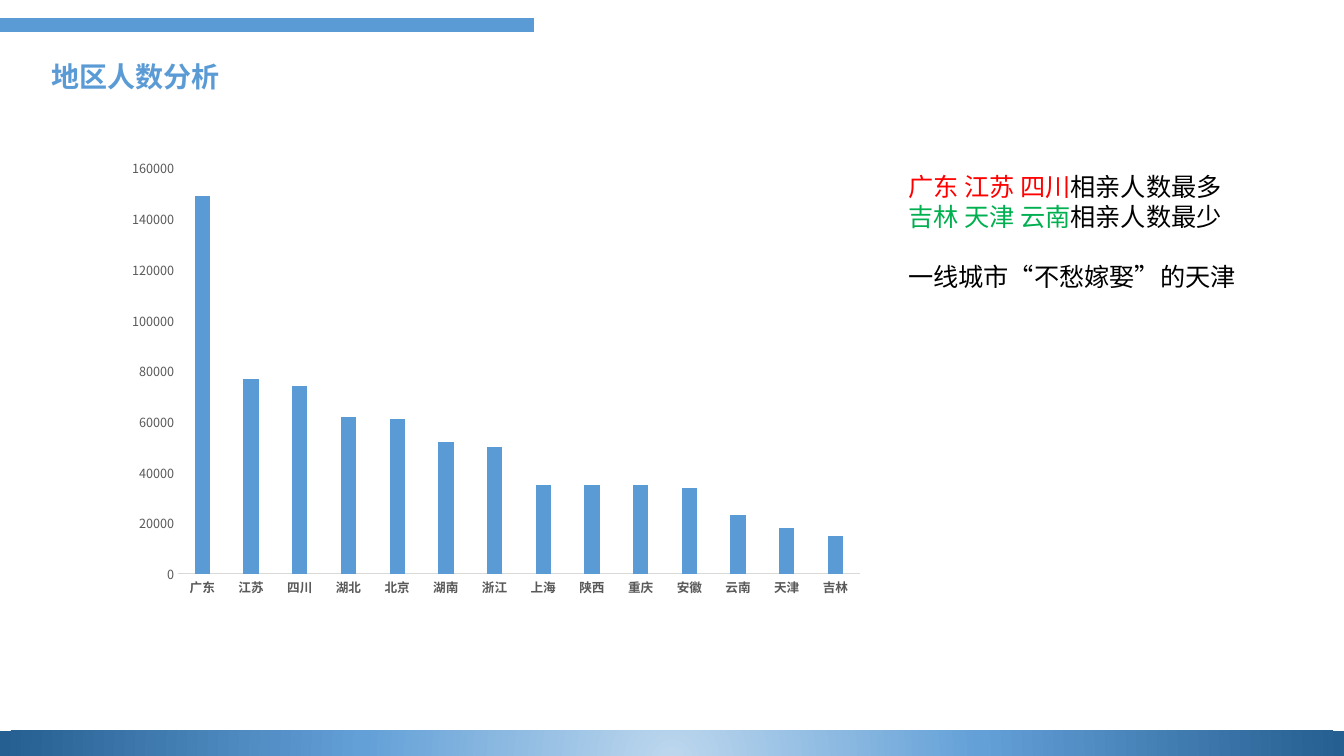
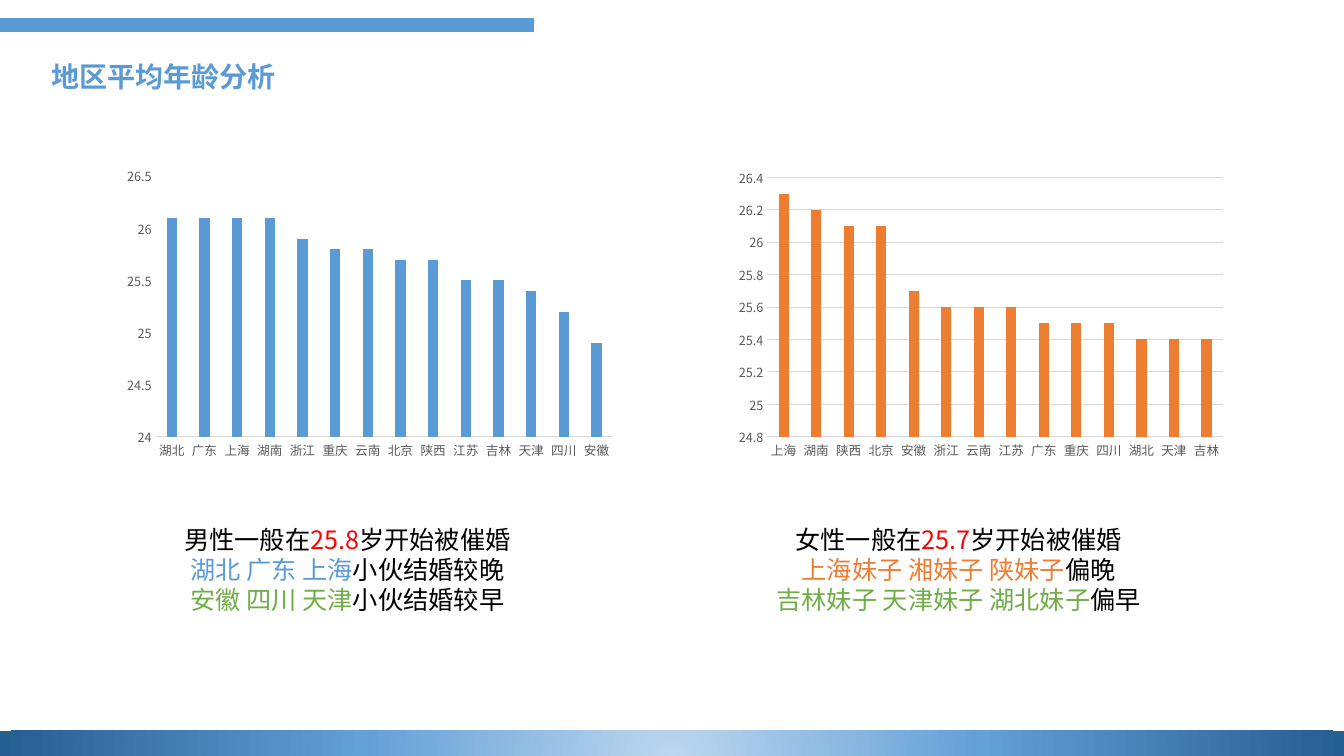
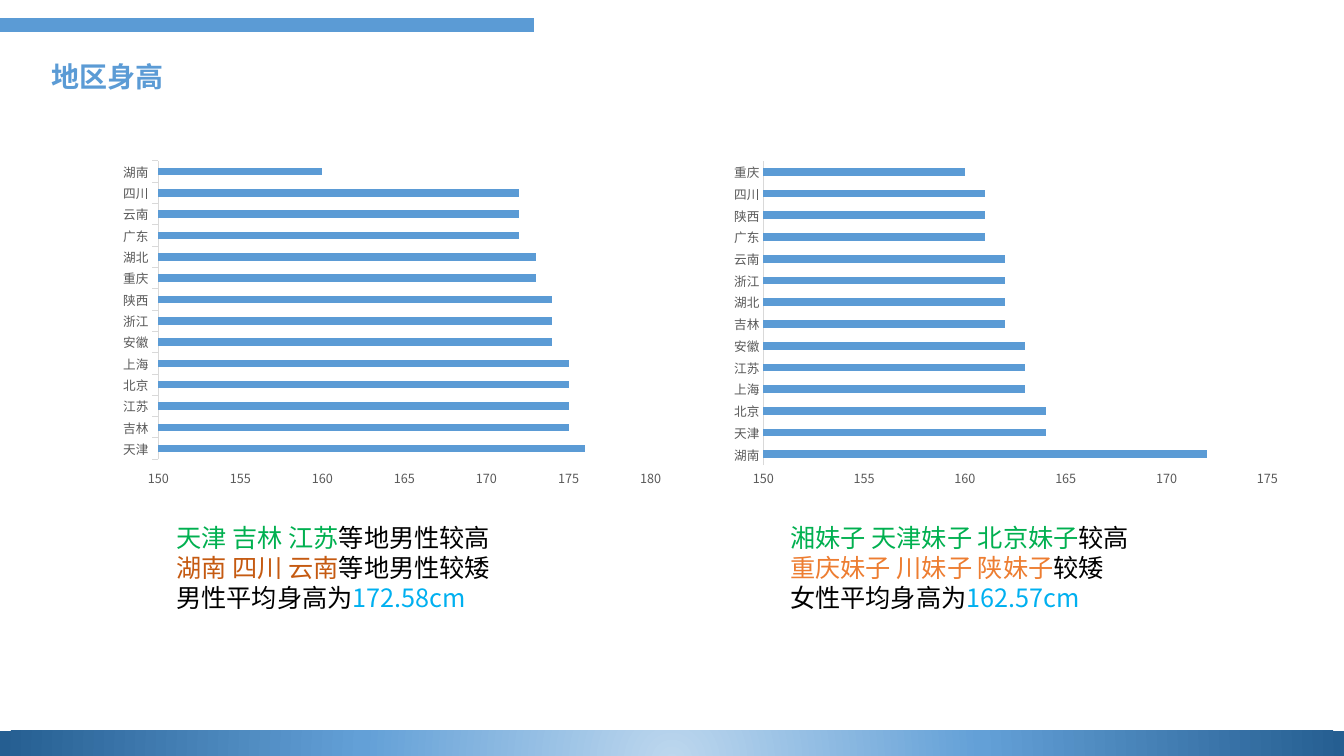
from lxml import etree
from pptx import Presentation, util as u
from pptx.chart.data import CategoryChartData
from pptx.dml.color import RGBColor
from pptx.enum import chart as ch, shapes, text
from pptx.oxml.ns import qn

# Shared look
FONT = "Noto Sans CJK SC"
COLORS = {
    "blue": "5B9BD5", "orange": "ED7D31", "rust": "C55A11", "leaf": "70AD47",
    "green": "00B050", "red": "FF0000", "sky": "00B0F0", "black": "000000",
    "label": "595959", "rule": "D9D9D9",
}
BAND_STOPS = [(0, "BDD7EE"), (46, "63A0D7"), (100, "255E91")]
WIDTH, HEIGHT = u.Inches(13.33), u.Inches(7.5)
NOTE_PITCH = u.Pt(21.5)
COLUMN, BAR = ch.XL_CHART_TYPE.COLUMN_CLUSTERED, ch.XL_CHART_TYPE.BAR_CLUSTERED
LEFT, CENTER = text.PP_ALIGN.LEFT, text.PP_ALIGN.CENTER


def rgb(name):
    return RGBColor.from_string(COLORS[name])


def box(x, y, w, h):
    """Turn percentages of the slide's size into lengths."""
    return [int(share * side / 100)
            for share, side in zip((x, y, w, h), (WIDTH, HEIGHT) * 2)]


def style_font(font, size, color, bold=False):
    font.size, font.bold = u.Pt(size), bold
    font.color.rgb = rgb(color)
    font.name = FONT
    etree.SubElement(font._rPr, qn("a:ea"), typeface=FONT)


# Elements on every slide
def add_top_line(s):
    x, y, w, _ = box(0, 3.33, 39.7, 0)
    line = s.shapes.add_connector(shapes.MSO_CONNECTOR.STRAIGHT, x, y, x + w, y)
    line.line.color.rgb = rgb("blue")
    line.line.width = u.Pt(10)
    etree.SubElement(line._element.spPr, qn("a:effectLst"))


def add_bottom_band(s):
    sp = s.shapes.add_shape(shapes.MSO_SHAPE.RECTANGLE, *box(0, 96.67, 100, 3.87))
    sp.shadow.inherit = False
    sp.line.fill.background()
    sp.fill.gradient()
    grad = sp._element.spPr.find(qn("a:gradFill"))
    for child in list(grad):
        grad.remove(child)
    stops = etree.SubElement(grad, qn("a:gsLst"))
    for share, color in BAND_STOPS:
        stop = etree.SubElement(stops, qn("a:gs"), pos=str(share * 1000))
        etree.SubElement(stop, qn("a:srgbClr"), val=color)
    circle = etree.SubElement(grad, qn("a:path"), attrib={"path": "circle"})
    etree.SubElement(circle, qn("a:fillToRect"),
                     l="50000", t="130000", r="50000", b="-30000")


def add_title(s, title):
    tf = s.shapes.add_textbox(*box(3.1, 6.5, 36.6, 7.7)).text_frame
    tf.word_wrap = True
    tf.vertical_anchor = text.MSO_ANCHOR.MIDDLE
    tf.text = title
    p = tf.paragraphs[0]
    p.line_spacing, p.space_before = 0.9, u.Pt(10)
    style_font(p.runs[0].font, 20, "blue", bold=True)


def new_slide(prs, title):
    s = prs.slides.add_slide(prs.slide_layouts[6])
    add_top_line(s)
    add_bottom_band(s)
    add_title(s, title)
    return s


# Content elements
def add_note(s, place, lines, align=LEFT):
    """Each line is a list of (words, colour) pairs."""
    tf = s.shapes.add_textbox(*box(*place)).text_frame
    tf.word_wrap = True
    for i, line in enumerate(lines):
        p = tf.add_paragraph() if i else tf.paragraphs[0]
        p.alignment, p.line_spacing = align, NOTE_PITCH
        for words, color in line:
            r = p.add_run()
            r.text = words
            style_font(r.font, 18, color)
    return tf


def add_region_chart(s, place, kind, regions, values, scale, color="blue",
                     bold=False, grid=False, ticks=False):
    """Scale is (minimum, maximum, step) of the value axis."""
    data = CategoryChartData()
    data.categories = regions.split()
    data.add_series("Series 1", values)
    chart = s.shapes.add_chart(kind, *box(*place), data).chart
    chart.has_legend = chart.has_title = False
    style_font(chart.font, 10, "black")

    plot = chart.plots[0]
    plot.vary_by_categories = False
    plot.gap_width, plot.overlap = (219, -27) if kind == COLUMN else (182, 0)
    series = plot.series[0]
    series.invert_if_negative = False
    series.format.fill.solid()
    series.format.fill.fore_color.rgb = rgb(color)

    cat, val = chart.category_axis, chart.value_axis
    for axis in (cat, val):
        axis.major_tick_mark = ch.XL_TICK_MARK.OUTSIDE if ticks else ch.XL_TICK_MARK.NONE
        axis.minor_tick_mark = ch.XL_TICK_MARK.NONE
        style_font(axis.tick_labels.font, 9, "label", bold and axis is cat)
    val.minimum_scale, val.maximum_scale, val.major_unit = scale
    val.tick_labels.number_format = "General"
    val.tick_labels.number_format_is_linked = False
    val.format.line.fill.background()
    cat.has_major_gridlines = False
    val.has_major_gridlines = grid
    rules = [cat.format.line] + ([val.major_gridlines.format.line] if grid else [])
    for rule in rules:
        rule.color.rgb = rgb("rule")
        rule.width = u.Pt(0.75)


# Slides
def population_slide(prs):
    s = new_slide(prs, "地区人数分析")
    add_region_chart(
        s, (8.7, 19.87, 56.4, 60.13), COLUMN,
        "广东 江苏 四川 湖北 北京 湖南 浙江 上海 陕西 重庆 安徽 云南 天津 吉林",
        [149000, 77000, 74000, 62000, 61000, 52000, 50000,
         35000, 35000, 35000, 34000, 23000, 18000, 15000],
        (0, 160000, 20000), bold=True)
    tf = add_note(s, (66.83, 22, 28.2, 17.47), [
        [("广东 江苏 四川", "red"), ("相亲人数最多", "black")],
        [("吉林 天津 云南", "green"), ("相亲人数最少", "black")],
        [("一线城市“不愁嫁娶”的天津", "black")]])
    tf.paragraphs[-1].space_before = NOTE_PITCH


def age_slide(prs):
    s = new_slide(prs, "地区平均年龄分析")
    add_region_chart(
        s, (8.7, 21.33, 37.65, 40.13), COLUMN,
        "湖北 广东 上海 湖南 浙江 重庆 云南 北京 陕西 江苏 吉林 天津 四川 安徽",
        [26.1, 26.1, 26.1, 26.1, 25.9, 25.8, 25.8,
         25.7, 25.7, 25.5, 25.5, 25.4, 25.2, 24.9],
        (24, 26.5, 0.5))
    add_region_chart(
        s, (54.23, 21.47, 37.5, 40), COLUMN,
        "上海 湖南 陕西 北京 安徽 浙江 云南 江苏 广东 重庆 四川 湖北 天津 吉林",
        [26.3, 26.2, 26.1, 26.1, 25.7, 25.6, 25.6,
         25.6, 25.5, 25.5, 25.5, 25.4, 25.4, 25.4],
        (24.8, 26.4, 0.2), color="orange", grid=True)
    add_note(s, (8.7, 68.67, 34.28, 13.47), [
        [("男性一般在", "black"), ("25.8", "red"), ("岁开始被催婚", "black")],
        [("湖北 广东 上海", "blue"), ("小伙结婚较晚", "black")],
        [("安徽 四川 天津", "leaf"), ("小伙结婚较早", "black")]], CENTER)
    add_note(s, (52.65, 68.67, 37.35, 13.47), [
        [("女性一般在", "black"), ("25.7", "red"), ("岁开始被催婚", "black")],
        [("上海妹子 湘妹子 陕妹子", "orange"), ("偏晚", "black")],
        [("吉林妹子 天津妹子 湖北妹子", "leaf"), ("偏早", "black")]], CENTER)


def height_slide(prs):
    s = new_slide(prs, "地区身高")
    add_region_chart(
        s, (8.33, 20.4, 41.7, 44.93), BAR,
        "天津 吉林 江苏 北京 上海 安徽 浙江 陕西 重庆 湖北 广东 云南 四川 湖南",
        [176, 175, 175, 175, 175, 174, 174, 174, 173, 173, 172, 172, 172, 160],
        (150, 180, 5), ticks=True)
    add_region_chart(
        s, (53.78, 20.4, 42.15, 44.93), BAR,
        "湖南 天津 北京 上海 江苏 安徽 吉林 湖北 浙江 云南 广东 陕西 四川 重庆",
        [172, 164, 164, 163, 163, 163, 162, 162, 162, 162, 161, 161, 161, 160],
        (150, 175, 5))
    add_note(s, (12.38, 68.4, 28.35, 13.47), [
        [("天津 吉林 江苏", "green"), ("等地男性较高", "black")],
        [("湖南 四川 云南", "rust"), ("等地男性较矮", "black")],
        [("男性平均身高为", "black"), ("172.58cm", "sky")]])
    add_note(s, (58.05, 68.4, 28.35, 13.47), [
        [("湘妹子 天津妹子 北京妹子", "green"), ("较高", "black")],
        [("重庆妹子 川妹子 陕妹子", "orange"), ("较矮", "black")],
        [("女性平均身高为", "black"), ("162.57cm", "sky")]])


def main():
    prs = Presentation()
    prs.slide_width, prs.slide_height = WIDTH, HEIGHT
    population_slide(prs)
    age_slide(prs)
    height_slide(prs)
    prs.save("out.pptx")


if __name__ == "__main__":
    main()
